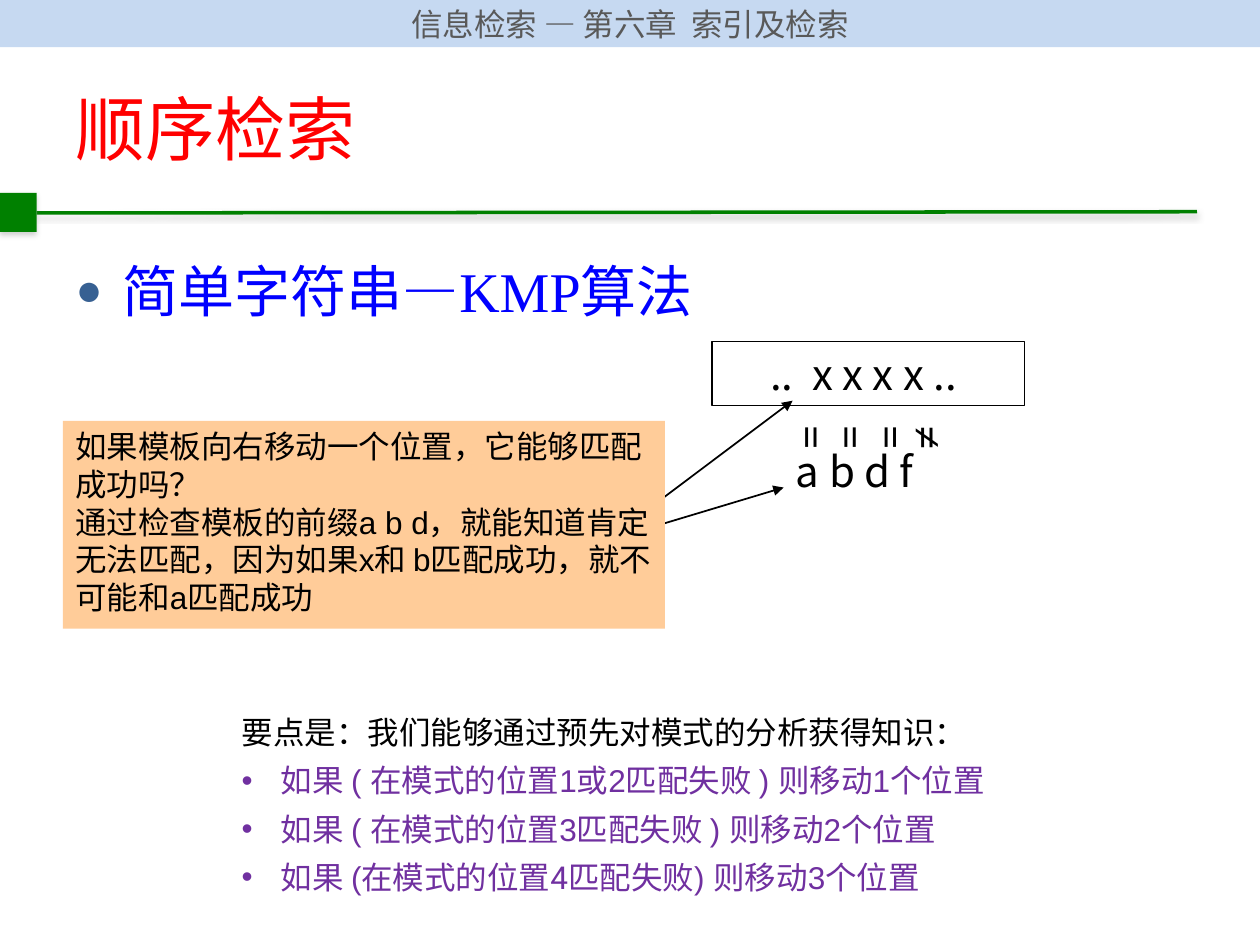
"""Build the slide on sequential search and the KMP algorithm."""
from lxml import etree
from pptx import Presentation
from pptx.dml.color import RGBColor
from pptx.enum.shapes import MSO_CONNECTOR, MSO_SHAPE
from pptx.enum.text import MSO_ANCHOR, PP_ALIGN
from pptx.util import Pt

RECT = MSO_SHAPE.RECTANGLE
STRAIGHT = MSO_CONNECTOR.STRAIGHT
MIDDLE, TOP = MSO_ANCHOR.MIDDLE, MSO_ANCHOR.TOP
LEFT, CENTER, JUSTIFY = PP_ALIGN.LEFT, PP_ALIGN.CENTER, PP_ALIGN.JUSTIFY
NS = "http://schemas.openxmlformats.org/drawingml/2006/main"
CJK = "Noto Sans CJK SC"
CJK_KR = "Noto Sans CJK KR"
hex_color = RGBColor.from_string


def add_xml(parent, tag, **attrs):
    """Append a DrawingML element and return it."""
    return etree.SubElement(parent, f"{{{NS}}}{tag}", attrs)


def write(p, text, font=CJK, size=18, color="000000", bold=False, align=LEFT):
    """Add a formatted run to a paragraph."""
    p.alignment = align
    r = p.add_run()
    r.text = text
    r.font.name = font
    r.font.size = Pt(size)
    r.font.bold = bold
    r.font.color.rgb = hex_color(color)
    add_xml(r.font._element, "ea", typeface=CJK)


prs = Presentation()
prs.slide_width, prs.slide_height = Pt(720), Pt(540)
s = prs.slides.add_slide(prs.slide_layouts[1])

title, body = s.placeholders
title.left, title.top, title.width, title.height = Pt(36), Pt(40.3), Pt(648), Pt(65.5)
title.text_frame.vertical_anchor = MIDDLE
write(title.text_frame.paragraphs[0], "顺序检索", size=40, color="FF0000", align=JUSTIFY)

body.left, body.top, body.width, body.height = Pt(36), Pt(135.4), Pt(648), Pt(380)
p = body.text_frame.paragraphs[0]
p.line_spacing = 1.2
for text, font in [("简单字符串—", "Calibri"), ("KMP", "Times New Roman"), ("算法", "Calibri")]:
    write(p, text, font, size=32, color="0000FF")
pPr = p._p.get_or_add_pPr()
pPr.set("marL", str(Pt(27)))
pPr.set("indent", str(-Pt(27)))
add_xml(add_xml(pPr, "buClr"), "srgbClr", val="376092")
add_xml(pPr, "buSzPct", val="80000")
add_xml(pPr, "buChar", char="●")

rules = [(20.9, 121.7, 684, 121, "008000", 2), (368.6, 292.3, 452.9, 229, "000000", 1),
         (368.6, 302.4, 447.8, 278.6, "000000", 1)]
lines = []
for x1, y1, x2, y2, color, width in rules:
    line = s.shapes.add_connector(STRAIGHT, Pt(x1), Pt(y1), Pt(x2), Pt(y2))
    line.line.color.rgb = hex_color(color)
    line.line.width = Pt(width)
    lines.append(line)
divider, *arrows = lines
for arrow in arrows:
    add_xml(arrow.line._get_or_add_ln(), "tailEnd", type="triangle")
    add_xml(arrow._element.spPr, "effectLst")

boxes = []
for x, y, w, h, fill in [(0, 0, 720, 27, "C6D9F1"), (0, 110.2, 20.9, 22.3, "008000"),
                         (406.8, 195.1, 178.6, 36.7, None), (36, 240.5, 344, 118.8, "FFCC99")]:
    box = s.shapes.add_shape(RECT, Pt(x), Pt(y), Pt(w), Pt(h))
    box.shadow.inherit = False
    if fill:
        box.fill.solid()
        box.fill.fore_color.rgb = hex_color(fill)
        box.line.fill.background()
    else:
        box.fill.background()
        box.line.color.rgb = hex_color("000000")
        box.line.width = Pt(1)
    box.text_frame.vertical_anchor = MIDDLE
    boxes.append(box)
banner, marker, sequence, question = boxes

divider.shadow.inherit = False
for sp in (marker, divider):
    shadow = add_xml(sp._element.spPr.find(f"{{{NS}}}effectLst"), "outerShdw", blurRad=str(Pt(3.1)),
                     dist=str(Pt(1.7)), dir="5400000", rotWithShape="0")
    add_xml(add_xml(shadow, "srgbClr", val="808080"), "alpha", val="36000")

write(banner.text_frame.paragraphs[0], "信息检索 — 第六章  索引及检索", color="595959", align=CENTER)
sequence.text_frame.word_wrap = False
write(sequence.text_frame.paragraphs[0], " ..  x x x x ..  ", CJK_KR, size=24, align=CENTER)

tf = question.text_frame
tf.vertical_anchor = TOP
write(tf.paragraphs[0], "如果模板向右移动一个位置，它能够匹配成功吗？", "Arial")
write(tf.add_paragraph(), "通过检查模板的前缀a b d，就能知道肯定无法匹配，"
      "因为如果x和 b匹配成功，就不可能和a匹配成功", "Arial")

labels = [("a b d f", 447.8, 251.3, 95.8, CJK_KR, 0)]
for text, x in zip("===≠", (447.8, 470.2, 493.2, 514.1)):
    labels.append((text, x, 231.8, 28, "Times New Roman", 270))
for text, x, y, w, font, angle in labels:
    sp = s.shapes.add_textbox(Pt(x), Pt(y), Pt(w), Pt(36))
    sp.rotation = angle
    sp.text_frame.word_wrap = False
    write(sp.text_frame.paragraphs[0], text, font, size=24, bold=angle > 0)

tf = s.shapes.add_textbox(Pt(131), Pt(403.9), Pt(513.4), Pt(123.8)).text_frame
tf.word_wrap = True
p = tf.paragraphs[0]
p.space_before = Pt(6)
write(p, "要点是：我们能够通过预先对模式的分析获得知识：")
points = [
    [("如果 ( 在模式的位置1或2匹配失败 ) 则移动1个位置", "Arial")],
    [("如果 ( 在模式的位置3匹配失败 ) 则移动2个位置", "Arial")],
    [("如果 (", "Arial"), ("在模式的位置4匹配失败", "Roboto"), (") 则移动3个位置", "Arial")],
]
for point in points:
    p = tf.add_paragraph()
    p.space_before = Pt(6)
    for text, font in point:
        write(p, text, font, color="7030A0")
    pPr = p._p.get_or_add_pPr()
    pPr.set("marL", str(Pt(22.5)))
    pPr.set("indent", str(-Pt(22.5)))
    add_xml(pPr, "buFont", typeface="Arial")
    add_xml(pPr, "buChar", char="•")

prs.save("out.pptx")
